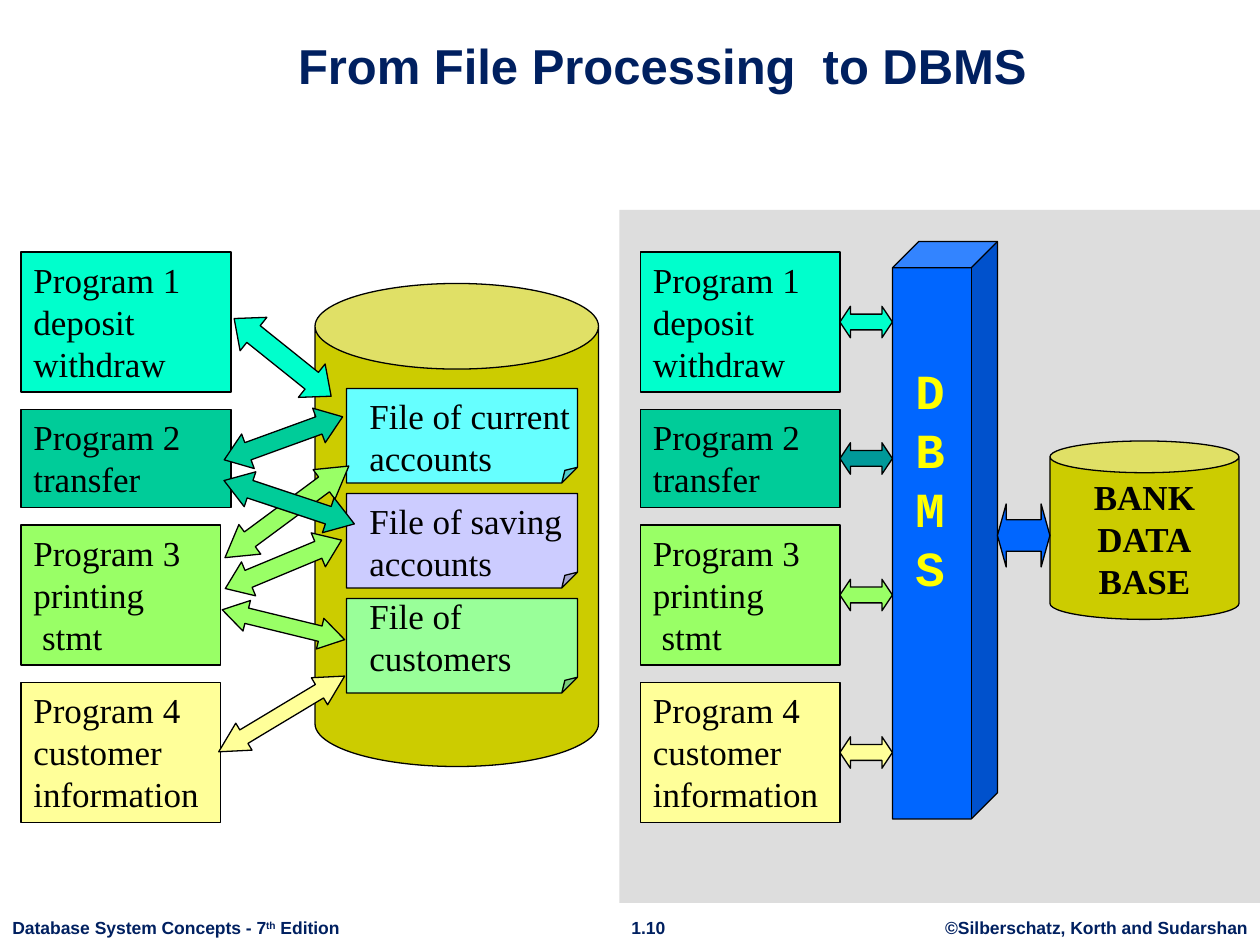
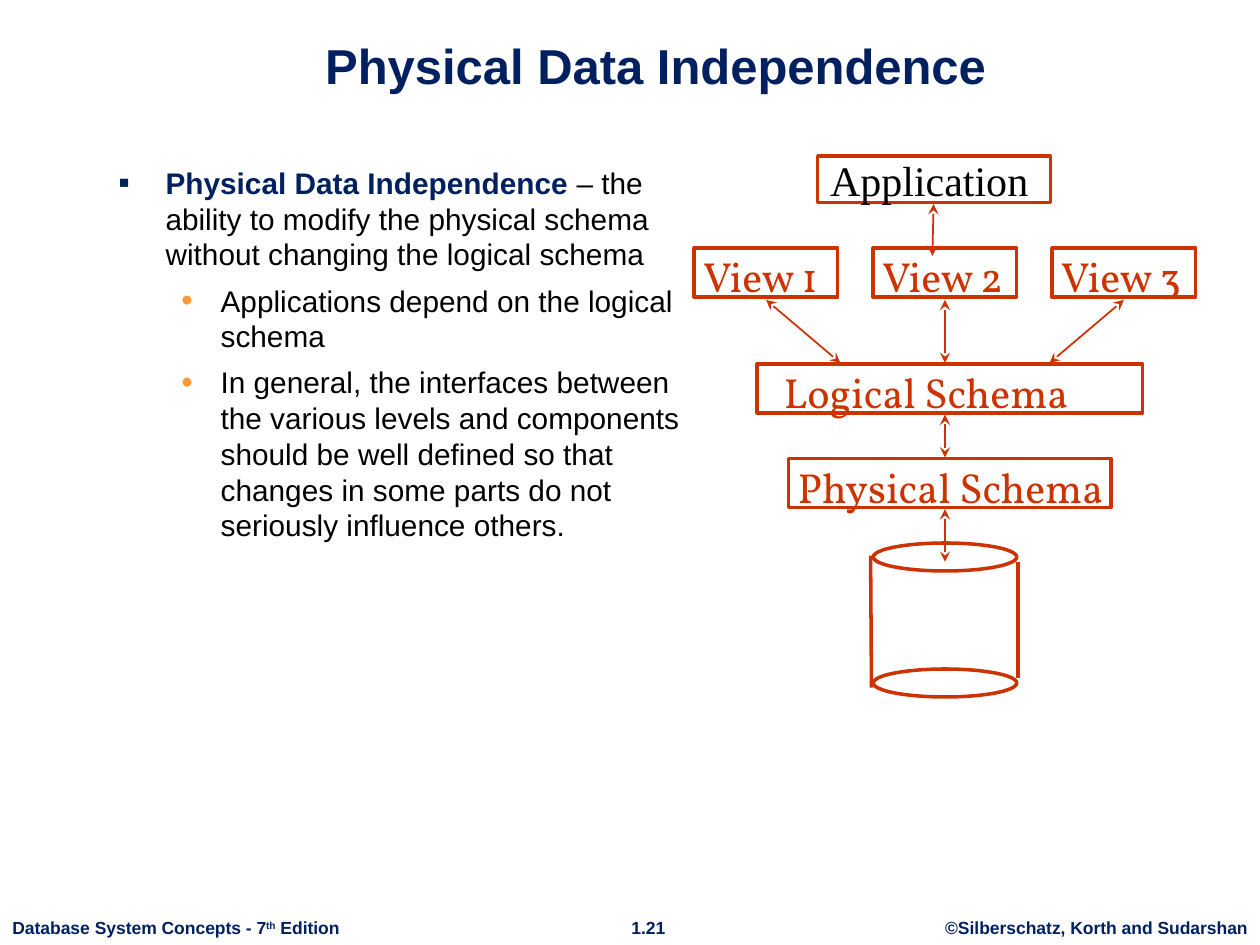
from lxml import etree
from pptx import Presentation
from pptx.dml.color import RGBColor
from pptx.enum.shapes import MSO_CONNECTOR, MSO_SHAPE
from pptx.enum.text import MSO_ANCHOR, PP_ALIGN
from pptx.oxml.ns import qn
from pptx.util import Pt

LEFT, CENTER = PP_ALIGN.LEFT, PP_ALIGN.CENTER
TOP, MIDDLE, BOTTOM = MSO_ANCHOR.TOP, MSO_ANCHOR.MIDDLE, MSO_ANCHOR.BOTTOM
RECTANGLE, ELLIPSE = MSO_SHAPE.RECTANGLE, MSO_SHAPE.OVAL
CAN, CUBE, FOLDED_CORNER = MSO_SHAPE.CAN, MSO_SHAPE.CUBE, MSO_SHAPE.FOLDED_CORNER
DOUBLE_ARROW = MSO_SHAPE.LEFT_RIGHT_ARROW
STRAIGHT = MSO_CONNECTOR.STRAIGHT

SANS, SERIF, MONO, LABEL = "Arial", "Times New Roman", "Courier New", "Vollkorn"
TITLE_ONLY = 5

COLORS = {
    "navy": "002060", "black": "000000", "panel": "DDDDDD", "gold": "CCCC00",
    "aqua": "00FFCC", "green": "00CC99", "lime": "99FF66", "cream": "FFFF99",
    "teal": "009999", "cyan": "66FFFF", "lilac": "CCCCFF", "mint": "99FF99",
    "blue": "0066FF", "yellow": "FFFF00", "rust": "CC3300", "orange": "FF9933",
}

PROGRAMS = [
    (["Program 1 deposit", "withdraw"], 80, "aqua"),
    (["Program 2 transfer"], 56, "green"),
    (["Program 3 printing", " stmt"], 80, "lime"),
    (["Program 4 customer information"], 80, "cream"),
]
PROGRAM_GAP = 10

FILES = [
    (["File of current", "accounts"], "cyan", 0),
    (["File of saving", "accounts"], "lilac", 0),
    (["File of customers"], "mint", -6),
]

FILE_ARROWS = [
    (126, 228, 72, 18, 13.7, "lime"),
    (119, 279, 84, 18, 329, "cream"),
    (120, 162, 88, 21, 323.5, "lime"),
    (126, 72, 71, 24.5, 38.7, "aqua"),
    (126, 192, 72, 21, 337.4, "lime"),
    (126, 156.5, 78.5, 21, 18.4, "green"),
    (126, 120, 72, 21, 340, "green"),
]

SCHEMA_BOXES = [
    ("Physical Schema", 54.7, 173, 184.3, 0),
    ("Logical Schema", 36.7, 119, 220.3, 10),
] + [(f"View {number + 1}", 0.7 + 102.25 * number, 52.8, 82, 0) for number in range(3)]

SCHEMA_ARROWS = [
    (41.8, 82.4, 84.2, 118.4),
    (144, 82.4, 144, 118.4),
    (246.2, 82.4, 203.8, 118.4),
    (144, 148, 144, 172.4),
    (144, 202, 144, 232),
    (137.5, 27.6, 136.8, 57.2),
]


def rgb(color):
    return RGBColor.from_string(COLORS[color])


def style_font(font, name, size, color, bold=False):
    font.name, font.size, font.bold = name, Pt(size), bold
    font.color.rgb = rgb(color)


def write(shape, lines, font, size, color="black", bold=False, align=LEFT, anchor=TOP, wrap=True):
    frame = shape.text_frame
    frame.word_wrap, frame.vertical_anchor = wrap, anchor
    frame.text = "\n".join(lines)
    for paragraph in frame.paragraphs:
        paragraph.alignment = align
        style_font(paragraph.font, font, size, color, bold)


def add_text(slide, box, lines, font, size, **options):
    shape = slide.shapes.add_textbox(*map(Pt, box))
    write(shape, lines, font, size, **options)
    return shape


def add_block(slide, kind, box, fill=None, line="black", weight=0.75, adjustments=()):
    shape = slide.shapes.add_shape(kind, *map(Pt, box))
    shape.shadow.inherit = False
    if fill:
        shape.fill.solid()
        shape.fill.fore_color.rgb = rgb(fill)
    else:
        shape.fill.background()
    if line:
        shape.line.color.rgb = rgb(line)
        shape.line.width = Pt(weight)
    else:
        shape.line.fill.background()
    for index, value in enumerate(adjustments):
        shape.adjustments[index] = value
    return shape


def add_double_arrow(slide, box, fill, rotation=0):
    width, height = box[2:]
    arrow = add_block(slide, DOUBLE_ARROW, box, fill, adjustments=(0.5, width / 5 / height))
    arrow.rotation = rotation


def add_line(slide, ends, weight, arrows=False):
    connector = slide.shapes.add_connector(STRAIGHT, *map(Pt, ends))
    connector.line.color.rgb = rgb("rust")
    connector.line.width = Pt(weight)
    properties = connector._element.spPr
    if arrows:
        line = properties.find(qn("a:ln"))
        for end in ("a:headEnd", "a:tailEnd"):
            etree.SubElement(line, qn(end), type="stealth")
    etree.SubElement(properties, qn("a:effectLst"))


def add_footer(slide, number):
    style = dict(font=SANS, size=10, color="navy", bold=True, wrap=False)
    add_text(slide, (533, 520.5, 187, 19.5), ["©Silberschatz, Korth and Sudarshan"], align=CENTER, **style)
    add_text(slide, (353, 520.5, 35, 19.5), [number], align=CENTER, **style)
    edition = add_text(slide, (0, 520.5, 202, 19.5), ["Database System Concepts - 7"], **style)
    paragraph = edition.text_frame.paragraphs[0]
    ordinal = paragraph.add_run()
    ordinal.text = "th"
    ordinal._r.get_or_add_rPr().set("baseline", "30000")
    paragraph.add_run().text = " Edition"


def add_titled_slide(presentation, title, number):
    slide = presentation.slides.add_slide(presentation.slide_layouts[TITLE_ONLY])
    placeholder = slide.shapes.title
    placeholder.left, placeholder.top = Pt(60.5), Pt(9.5)
    placeholder.width, placeholder.height = Pt(636), Pt(48)
    write(placeholder, [title], SANS, 28, "navy", True, CENTER, BOTTOM)
    add_footer(slide, number)
    return slide


def add_programs(slide, left, top, widths):
    centers = []
    for (lines, height, fill), width in zip(PROGRAMS, widths):
        shape = add_block(slide, RECTANGLE, (left, top, width, height), fill)
        write(shape, lines, SERIF, 20)
        centers.append(top + height / 2)
        top += height + PROGRAM_GAP
    return centers


def add_file_processing(slide, box):
    left, top = box[:2]
    add_block(slide, CAN, (left + 180, top + 42, 162, 276), "gold", adjustments=(0.302,))
    for index, (lines, fill, text_shift) in enumerate(FILES):
        file_top = top + 102 + 60 * index
        add_block(slide, FOLDED_CORNER, (left + 198, file_top, 132, 54), fill)
        add_text(slide, (left + 204, file_top + text_shift, 132, 55.5), lines, SERIF, 20)
    add_programs(slide, left + 12, top + 24, (120, 120, 114, 114))
    for x, y, width, height, rotation, fill in FILE_ARROWS:
        add_double_arrow(slide, (left + x, top + y, width, height), fill, rotation)


def add_dbms(slide, box):
    left, top = box[:2]
    add_block(slide, RECTANGLE, box, "panel", line=None)
    add_block(slide, CUBE, (left + 156, top + 18, 60, 330), "blue")
    add_text(slide, (left + 162, top + 82.5, 29, 142), ["DBMS"], MONO, 28, color="yellow", bold=True)
    database = add_block(slide, CAN, (left + 246, top + 132, 108, 102), "gold", adjustments=(0.178,))
    write(database, ["BANK", "DATA", "BASE"], SERIF, 20, bold=True, align=CENTER, anchor=MIDDLE, wrap=False)
    centers = add_programs(slide, left + 12, top + 24, [114] * 4)
    for center, fill in zip(centers, ("aqua", "teal", "lime", "cream")):
        add_double_arrow(slide, (left + 126, center - 9, 30, 18), fill)
    add_double_arrow(slide, (left + 216, top + 168, 30, 36), "blue")


def format_bullet(paragraph, symbol, color, margin, hanging):
    paragraph.space_before = Pt(6)
    properties = paragraph._p.get_or_add_pPr()
    properties.set("marL", str(Pt(margin)))
    properties.set("indent", str(-Pt(hanging)))
    bullet_color = etree.SubElement(properties, qn("a:buClr"))
    etree.SubElement(bullet_color, qn("a:srgbClr"), val=COLORS[color])
    etree.SubElement(properties, qn("a:buSzPct"), val="110000")
    etree.SubElement(properties, qn("a:buFont"), typeface=SANS)
    etree.SubElement(properties, qn("a:buChar"), char=symbol)


def add_definition(slide, box):
    frame = slide.shapes.add_textbox(*map(Pt, box)).text_frame
    frame.word_wrap = True
    definition = frame.paragraphs[0]
    format_bullet(definition, "▪", "navy", 27, 27)
    style_font(definition.font, SANS, 17, "black")
    term = definition.add_run()
    term.text = "Physical Data Independence "
    style_font(term.font, SANS, 17, "navy", True)
    definition.add_run().text = "– the ability to modify the physical schema without changing the logical schema"
    for text in (
        "Applications depend on the logical schema",
        "In general, the interfaces between the various levels and components should be "
        "well defined so that changes in some parts do not seriously influence others.",
    ):
        paragraph = frame.add_paragraph()
        paragraph.level = 1
        format_bullet(paragraph, "•", "orange", 58.5, 22.5)
        style_font(paragraph.font, SANS, 17, "black")
        paragraph.add_run().text = text


def add_schema_diagram(slide, box):
    left, top = box[:2]
    outline = dict(line="rust", weight=2)
    for y in (221.3, 293.3):
        add_block(slide, ELLIPSE, (left + 103, top + y, 82, 16), **outline)
    add_line(slide, (left + 101.5, top + 228.5, left + 102, top + 304), 2)
    add_line(slide, (left + 185.8, top + 232, left + 185.8, top + 298.4), 2)
    for label, x, y, width, indent in SCHEMA_BOXES:
        add_block(slide, RECTANGLE, (left + x, top + y, width, 28), **outline)
        text_box = (left + x - 2, top + y - 2, width + 6, 36)
        text = add_text(slide, text_box, [label], LABEL, 24, color="rust")
        text.text_frame.margin_left = Pt(7.2 + indent)
    application = add_block(slide, RECTANGLE, (left + 71.3, top + 0.3, 133, 26.6), **outline)
    write(application, ["Application"], SERIF, 24, anchor=MIDDLE, wrap=False)
    for x1, y1, x2, y2 in SCHEMA_ARROWS:
        add_line(slide, (left + x1, top + y1, left + x2, top + y2), 1, arrows=True)


def main():
    presentation = Presentation()
    presentation.slide_width, presentation.slide_height = Pt(720), Pt(540)

    slide = add_titled_slide(presentation, "From File Processing  to DBMS", "1.10")
    add_file_processing(slide, (0, 120, 354, 396))
    add_dbms(slide, (354, 120, 366, 396))

    slide = add_titled_slide(presentation, "Physical Data Independence ", "1.21")
    add_definition(slide, (60.5, 90.5, 336, 386))
    add_schema_diagram(slide, (396, 89, 288, 310))

    presentation.save("out.pptx")


if __name__ == "__main__":
    main()
